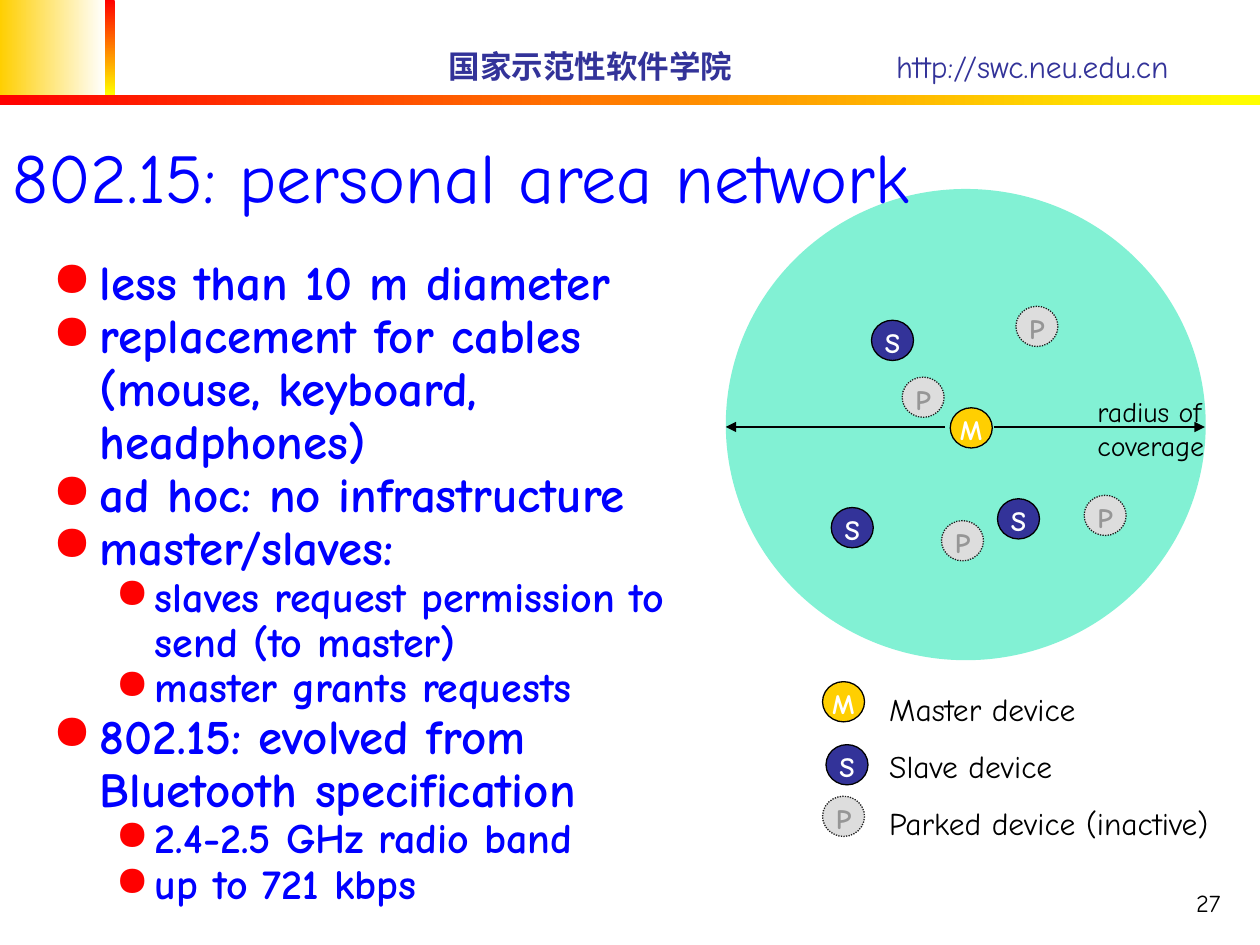
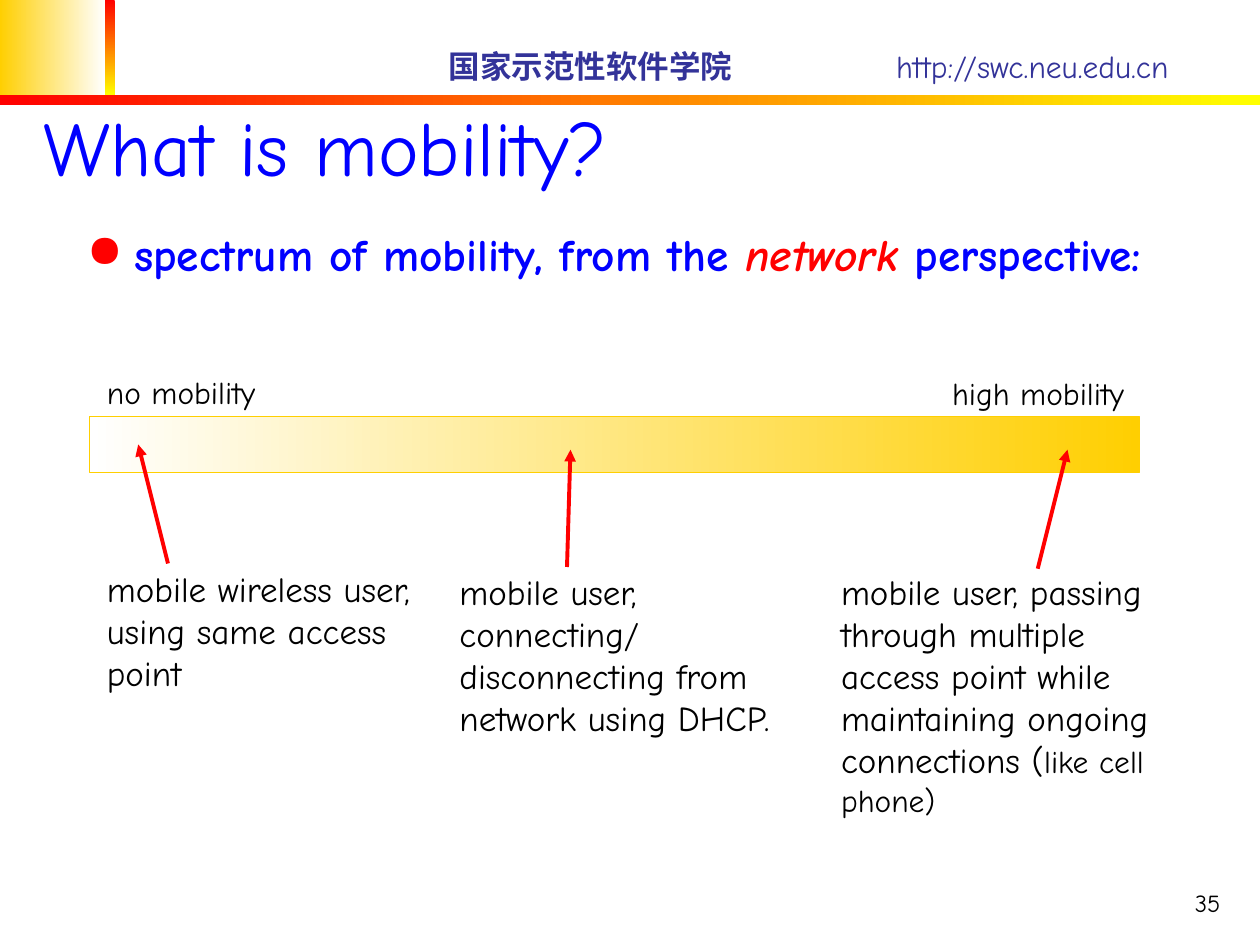
from lxml.etree import SubElement
from pptx import Presentation
from pptx.dml.color import RGBColor
from pptx.enum.dml import MSO_LINE
from pptx.enum.shapes import MSO_CONNECTOR, MSO_SHAPE
from pptx.enum.text import MSO_ANCHOR as Anchor, PP_ALIGN as Align
from pptx.oxml.ns import qn
from pptx.util import Pt

# Shared style
FONT = "Comic Neue"
BLACK, WHITE, RED, YELLOW = "000000", "FFFFFF", "FF0000", "FFFF00"
GOLD, NAVY, BLUE, MINT = "FFCF01", "333399", "0000FF", "00E4A8"
BULLET_INDENTS = [(27, -27), (58.5, -22.5)]  # margin and hanging indent per level

# Device kinds: letter -> fill, letter colour, line colour, line dash
DEVICES = {
    "M": (GOLD, WHITE, BLACK, None),
    "S": (NAVY, WHITE, BLACK, None),
    "P": ("DDDDDD", "969696", "1C1C1C", MSO_LINE.ROUND_DOT),
}


def rgb(color):
    return RGBColor.from_string(color)


def points(values):
    return [Pt(value) for value in values]


def style_run(run, size, color, bold=False, italic=False):
    font = run.font
    font.name, font.size, font.bold, font.italic = FONT, Pt(size), bold, italic
    font.color.rgb = rgb(color)


def add_text(slide, box, paragraphs, size, color=BLACK, bold=False,
             align=Align.LEFT, anchor=Anchor.TOP, wrap=True, spacing=None):
    """Each paragraph is a string or a list of (text, style changes) runs."""
    frame = slide.shapes.add_textbox(*points(box)).text_frame
    frame.word_wrap, frame.vertical_anchor = wrap, anchor
    for index, content in enumerate(paragraphs):
        paragraph = frame.add_paragraph() if index else frame.paragraphs[0]
        paragraph.alignment, paragraph.line_spacing = align, spacing
        runs = [(content, {})] if isinstance(content, str) else content
        for text, changes in runs:
            run = paragraph.add_run()
            run.text = text
            style_run(run, **{"size": size, "color": color, "bold": bold, **changes})
    return frame


def add_bullets(slide, box, items, sizes, spacing=None):
    """Items are (level, paragraph content); sizes are given per level."""
    contents = [[(text, {"size": sizes[level], **changes}) for text, changes in runs]
                for level, runs in items]
    frame = add_text(slide, box, contents, sizes[0], BLUE, True, spacing=spacing)
    for paragraph, (level, _) in zip(frame.paragraphs, items):
        paragraph.level = level
        properties = paragraph._p.get_or_add_pPr()
        margin, indent = BULLET_INDENTS[level]
        properties.set("marL", str(Pt(margin)))
        properties.set("indent", str(Pt(indent)))
        bullet_color = SubElement(properties, qn("a:buClr"))
        SubElement(bullet_color, qn("a:srgbClr"), val=RED)
        SubElement(properties, qn("a:buChar"), char="●")


def add_shape(slide, kind, box):
    shape = slide.shapes.add_shape(kind, *points(box))
    shape.shadow.inherit = False
    shape.line.fill.background()
    return shape


def add_gradient_bar(slide, box, start, end, angle=0):
    bar = add_shape(slide, MSO_SHAPE.RECTANGLE, box)
    bar.fill.gradient()
    bar.fill.gradient_angle = angle
    for stop, color in zip(bar.fill.gradient_stops, (start, end)):
        stop.color.rgb = rgb(color)
    return bar


def set_line(line, color, width=0.75):
    line.color.rgb = rgb(color)
    line.width = Pt(width)


def add_arrow(slide, start, end, color, width):
    arrow = slide.shapes.add_connector(MSO_CONNECTOR.STRAIGHT, *points(start + end))
    set_line(arrow.line, color, width)
    SubElement(arrow.line._get_or_add_ln(), qn("a:tailEnd"), type="triangle")
    SubElement(arrow._element.spPr, qn("a:effectLst"))


def add_device(slide, letter, left, top):
    fill, letter_color, line_color, dash = DEVICES[letter]
    device = add_shape(slide, MSO_SHAPE.OVAL, (left, top, 24, 23))
    device.fill.solid()
    device.fill.fore_color.rgb = rgb(fill)
    set_line(device.line, line_color)
    if dash:
        device.line.dash_style = dash
    frame = device.text_frame
    frame.margin_left = frame.margin_right = frame.margin_bottom = 0
    frame.margin_top = Pt(2)
    frame.word_wrap, frame.vertical_anchor = False, Anchor.MIDDLE
    frame.text = letter
    frame.paragraphs[0].alignment = Align.CENTER
    style_run(frame.paragraphs[0].runs[0], 16, letter_color, True)


def add_framed_slide(presentation, number):
    """Blank slide with the header bands, school name, address and page number."""
    slide = presentation.slides.add_slide(presentation.slide_layouts[6])
    add_gradient_bar(slide, (0, 0, 60, 54.5), GOLD, WHITE)
    add_gradient_bar(slide, (60, 0, 5.5, 54.5), RED, YELLOW, 270)
    add_gradient_bar(slide, (0, 54.5, 720, 5.5), RED, YELLOW)
    add_text(slide, (249.5, 23, 200, 29), ["国家示范性软件学院"], 18, NAVY, True,
             anchor=Anchor.MIDDLE)
    add_text(slide, (505, 23, 198, 29), ["http://swc.neu.edu.cn"], 18, NAVY,
             anchor=Anchor.MIDDLE)
    add_text(slide, (554.5, 492, 150, 36), [str(number)], 14,
             align=Align.RIGHT, anchor=Anchor.BOTTOM)
    return slide


def build_area_network(presentation):
    slide = add_framed_slide(presentation, 27)

    # Coverage area
    coverage = add_shape(slide, MSO_SHAPE.OVAL, (414.75, 108, 274.25, 269.25))
    coverage.fill.solid()
    coverage.fill.fore_color.rgb = rgb(MINT)
    mint = coverage._element.spPr.find(qn("a:solidFill"))[0]
    SubElement(mint, qn("a:alpha"), val="49000")
    add_arrow(slide, (568, 244), (688.5, 244), BLACK, 0.75)
    add_arrow(slide, (540, 244), (414.75, 244), BLACK, 0.75)
    add_text(slide, (620, 222, 76, 46), ["radius of", "coverage"], 16, wrap=False)

    # Devices in the area, then those of the legend
    places = {
        "M": [(543, 233), (470, 389.5)],
        "S": [(498, 183), (570, 285), (475, 290), (472, 425.5)],
        "P": [(580.5, 175), (538, 297.5), (515.5, 215.5), (619.5, 283), (470, 455)],
    }
    for letter, corners in places.items():
        for left, top in corners:
            add_device(slide, letter, left, top)
    add_text(slide, (501, 380, 198, 104.5),
             ["Master device", "Slave device", "Parked device (inactive)"],
             18, wrap=False, spacing=1.5)

    # Title and points
    add_text(slide, (0, 67.5, 612, 66), ["802.15: personal area network"], 40, BLUE,
             anchor=Anchor.MIDDLE)
    items = [
        (0, "less than 10 m diameter"),
        (0, "replacement for cables (mouse, keyboard, headphones)"),
        (0, "ad hoc: no infrastructure"),
        (0, "master/slaves:"),
        (1, "slaves request permission to send (to master)"),
        (1, "master grants requests"),
        (0, "802.15: evolved from Bluetooth specification"),
        (1, "2.4-2.5 GHz radio band"),
        (1, "up to 721 kbps"),
    ]
    add_bullets(slide, (23, 144, 402, 396),
                [(level, [(text, {})]) for level, text in items], (28, 24), 0.9)


def build_mobility(presentation):
    slide = add_framed_slide(presentation, 35)
    add_text(slide, (18, 16.5, 686, 96.5), ["What is mobility?"], 44, BLUE,
             anchor=Anchor.BOTTOM)
    add_bullets(slide, (42.5, 126, 646, 45),
                [(0, [("spectrum of mobility, from the ", {}),
                      ("network", {"color": RED, "italic": True}),
                      (" perspective:", {})])], (25.9,))

    # Mobility scale
    scale = add_gradient_bar(slide, (51, 238, 600, 32), WHITE, GOLD)
    set_line(scale.line, GOLD)
    add_text(slide, (54, 209.5, 99.5, 29), ["no mobility"], 18, wrap=False)
    add_text(slide, (537, 210, 112.5, 29), ["high mobility"], 18, wrap=False)

    # Users along the scale
    add_text(slide, (54, 321, 196.5, 79),
             ["mobile wireless user,", "using same access", "point"], 20, wrap=False)
    add_text(slide, (255.5, 322.5, 191.5, 127.5),
             ["mobile user, connecting/ disconnecting from network using DHCP."], 20)
    add_text(slide, (473.5, 322.5, 212, 149),
             [[("mobile user, passing through multiple access point while "
                "maintaining ongoing connections (", {}),
               ("like cell phone)", {"size": 18})]], 20)
    for start, end in [((96, 322), (79, 254)), ((324, 324), (326, 257)),
                       ((593, 325), (610, 257))]:
        add_arrow(slide, start, end, RED, 2.25)


def main():
    presentation = Presentation()
    presentation.slide_width, presentation.slide_height = Pt(720), Pt(540)
    build_area_network(presentation)
    build_mobility(presentation)
    presentation.save("out.pptx")


if __name__ == "__main__":
    main()
